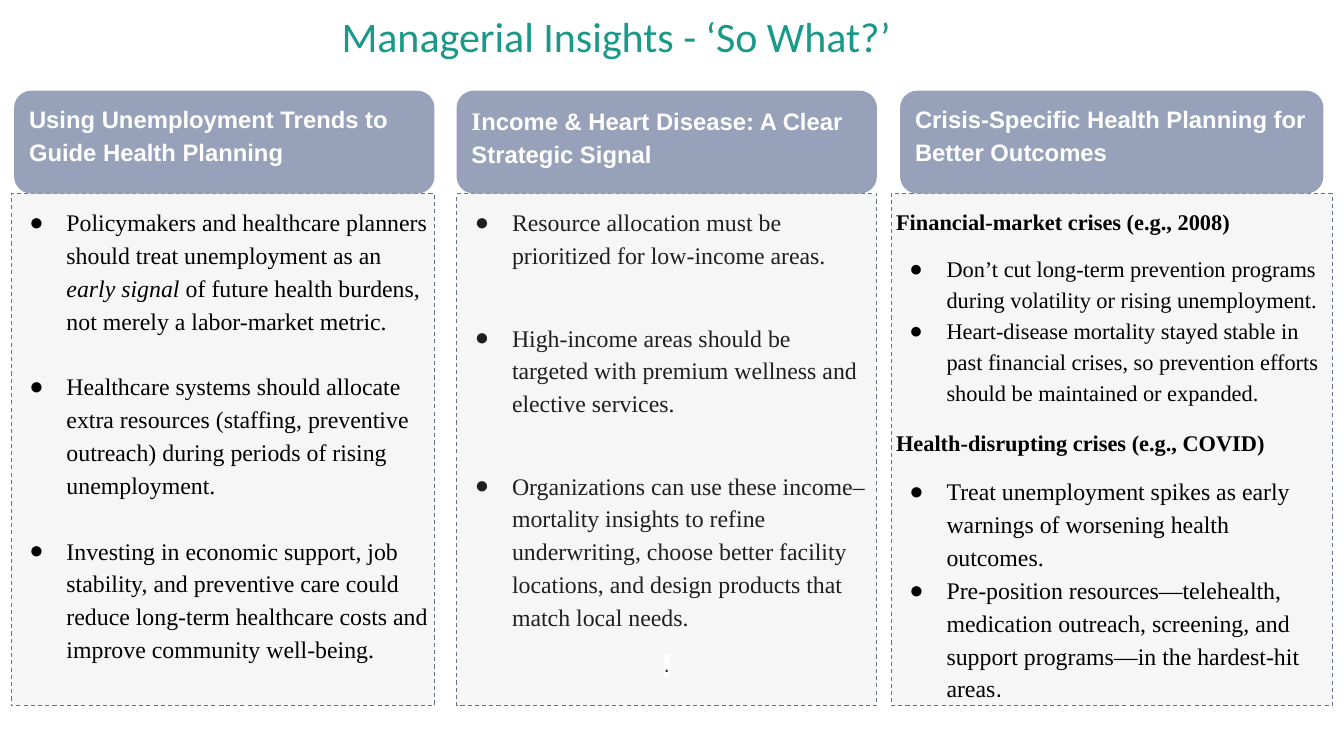
import pptx
import pptx.util
import pptx.dml.color
import pptx.enum.dml
import pptx.enum.shapes
import pptx.enum.text
import pptx.oxml.ns
import lxml.etree

Pt = pptx.util.Pt
RGBColor = pptx.dml.color.RGBColor
TEAL = RGBColor(0x1A, 0x99, 0x88)
HEADER_BLUE = RGBColor(0x97, 0xA2, 0xBA)
PANEL_GREY = RGBColor(0xF2, 0xF2, 0xF2)
BORDER = RGBColor(0x66, 0x70, 0x84)
BLACK = RGBColor(0, 0, 0)
CHARCOAL = RGBColor(0x1F, 0x1F, 0x1F)
WHITE = RGBColor(0xFF, 0xFF, 0xFF)
SERIF, SANS = "Times New Roman", "Arial"
LEFT = pptx.enum.text.PP_ALIGN.LEFT
CENTER = pptx.enum.text.PP_ALIGN.CENTER
qn = pptx.oxml.ns.qn


def add_block(kind, box, fill, insets):
    block = slide.shapes.add_shape(kind, *[Pt(value) for value in box])
    block.shadow.inherit = False
    block.fill.solid()
    block.fill.fore_color.rgb = fill
    block.line.fill.background()
    frame = block.text_frame
    frame.word_wrap = True
    frame.vertical_anchor = pptx.enum.text.MSO_ANCHOR.TOP
    frame.margin_left, frame.margin_top, frame.margin_right, frame.margin_bottom = map(Pt, insets)
    return block


def write_paragraph(paragraph, pieces, color, size, bold=False, gap=0, bullet=False):
    paragraph.alignment = LEFT
    paragraph.line_spacing = 1.15
    paragraph.space_before = Pt(gap)
    if bullet:
        properties = paragraph._p.get_or_add_pPr()
        properties.set("marL", str(Pt(36)))
        properties.set("indent", str(-Pt(26.5)))
        bullet_color = lxml.etree.SubElement(properties, qn("a:buClr"))
        lxml.etree.SubElement(bullet_color, qn("a:srgbClr"), val=str(color))
        lxml.etree.SubElement(properties, qn("a:buFont"), typeface=SERIF)
        lxml.etree.SubElement(properties, qn("a:buChar"), char="●")
    for text, font_name, *emphasis in pieces:
        run = paragraph.add_run()
        run.text = text
        run.font.size = Pt(size)
        run.font.bold = bold
        run.font.italic = "italic" in emphasis
        run.font.color.rgb = color
        run.font.name = font_name


columns = [
    {
        "panel": (7.92, 302.4), "header": (10.08, 300.24), "color": BLACK,
        "heading": [("Using Unemployment Trends to Guide Health Planning", SANS)],
        "points": [
            (17, 0, True, [("Policymakers and healthcare planners should treat unemployment as an ", SERIF),
                           ("early signal", SERIF, "italic"),
                           (" of future health burdens, not merely a labor-market metric.", SERIF)]),
            (17, 23.5, True, [("Healthcare systems should allocate extra resources (staffing, preventive "
                               "outreach) during periods of rising unemployment.", SERIF)]),
            (17, 23.5, True, [("Investing in economic support, job stability, and preventive care could "
                               "reduce long-term healthcare costs and improve community well-being.", SERIF)]),
        ],
    },
    {
        "panel": (326.16, 300.24), "header": (326.16, 300.24), "color": CHARCOAL,
        "heading": [("I", SERIF), ("ncome & Heart Disease: A Clear Strategic Signal", SANS)],
        "points": [
            (17, 0, True, [("Resource allocation must be prioritized for low-income areas.", SERIF)]),
            (17, 35.5, True, [("High-income areas should be targeted with premium wellness and "
                               "elective services.", SERIF)]),
            (17, 35.5, True, [("Organizations can use these income–mortality insights to refine underwriting, "
                               "choose better facility locations, and design products that match local needs.",
                               SERIF)]),
            (15, 12, False, [(".", SANS)]),
        ],
    },
    {
        "panel": (636.48, 315.36), "header": (642.96, 302.4), "color": BLACK,
        "heading": [("Crisis-Specific Health Planning for Better Outcomes", SANS)],
        "points": [
            (16, 0, False, [("Financial-market crises (e.g., 2008)", SERIF, "bold")]),
            (16, 12, True, [("Don’t cut long-term prevention programs during volatility or rising "
                             "unemployment.", SERIF)]),
            (16, 0, True, [("Heart-disease mortality stayed stable in past financial crises, so prevention "
                            "efforts should be maintained or expanded.", SERIF)]),
            (16, 14, False, [("Health-disrupting crises (e.g., COVID)", SERIF, "bold")]),
            (17, 12, True, [("Treat unemployment spikes as early warnings of worsening health outcomes.", SERIF)]),
            (17, 0, True, [("Pre-position resources—telehealth, medication outreach, screening, and support "
                            "programs—in the hardest-hit areas", SERIF), (".", SANS)]),
        ],
    },
]

presentation = pptx.Presentation()
presentation.slide_width = Pt(960)
presentation.slide_height = Pt(540)
slide = presentation.slides.add_slide(presentation.slide_layouts[6])

title = slide.shapes.add_textbox(Pt(236.88), Pt(-8.64), Pt(828), Pt(73.44)).text_frame
title.word_wrap = True
title.vertical_anchor = pptx.enum.text.MSO_ANCHOR.MIDDLE
title.text = "Managerial Insights - ‘So What?’"
title.paragraphs[0].line_spacing = 0.9
title_font = title.paragraphs[0].runs[0].font
title_font.size = Pt(30)
title_font.name = "Calibri"
title_font.color.rgb = TEAL

for column in columns:
    panel_left, panel_width = column["panel"]
    panel = add_block(pptx.enum.shapes.MSO_SHAPE.RECTANGLE, (panel_left, 138.24, panel_width, 365.76),
                      PANEL_GREY, (3.6, 7.2, 3.6, 3.6))
    panel_color = panel._element.spPr.find(qn("a:solidFill"))[0]
    lxml.etree.SubElement(panel_color, qn("a:alpha"), val="69000")
    panel.line.color.rgb = BORDER
    panel.line.width = Pt(0.75)
    panel.line.dash_style = pptx.enum.dml.MSO_LINE.DASH
    for index, (size, gap, bullet, pieces) in enumerate(column["points"]):
        frame = panel.text_frame
        paragraph = frame.add_paragraph() if index else frame.paragraphs[0]
        write_paragraph(paragraph, pieces, column["color"], size, "bold" in pieces[0], gap, bullet)
        if pieces == [(".", SANS)]:
            paragraph.alignment = CENTER
            run_fill = paragraph.runs[0]._r.rPr.find(qn("a:solidFill"))
            highlight = lxml.etree.Element(qn("a:highlight"))
            lxml.etree.SubElement(highlight, qn("a:srgbClr"), val=str(WHITE))
            run_fill.addnext(highlight)

    header_left, header_width = column["header"]
    header = add_block(pptx.enum.shapes.MSO_SHAPE.ROUNDED_RECTANGLE, (header_left, 64.8, header_width, 73.44),
                       HEADER_BLUE, (7.2, 3.6, 7.2, 3.6))
    heading = header.text_frame.paragraphs[0]
    write_paragraph(heading, column["heading"], WHITE, 17, bold=True)
    if len(heading.runs) > 1:
        heading.runs[0].font.size = Pt(18)

presentation.save("out.pptx")
